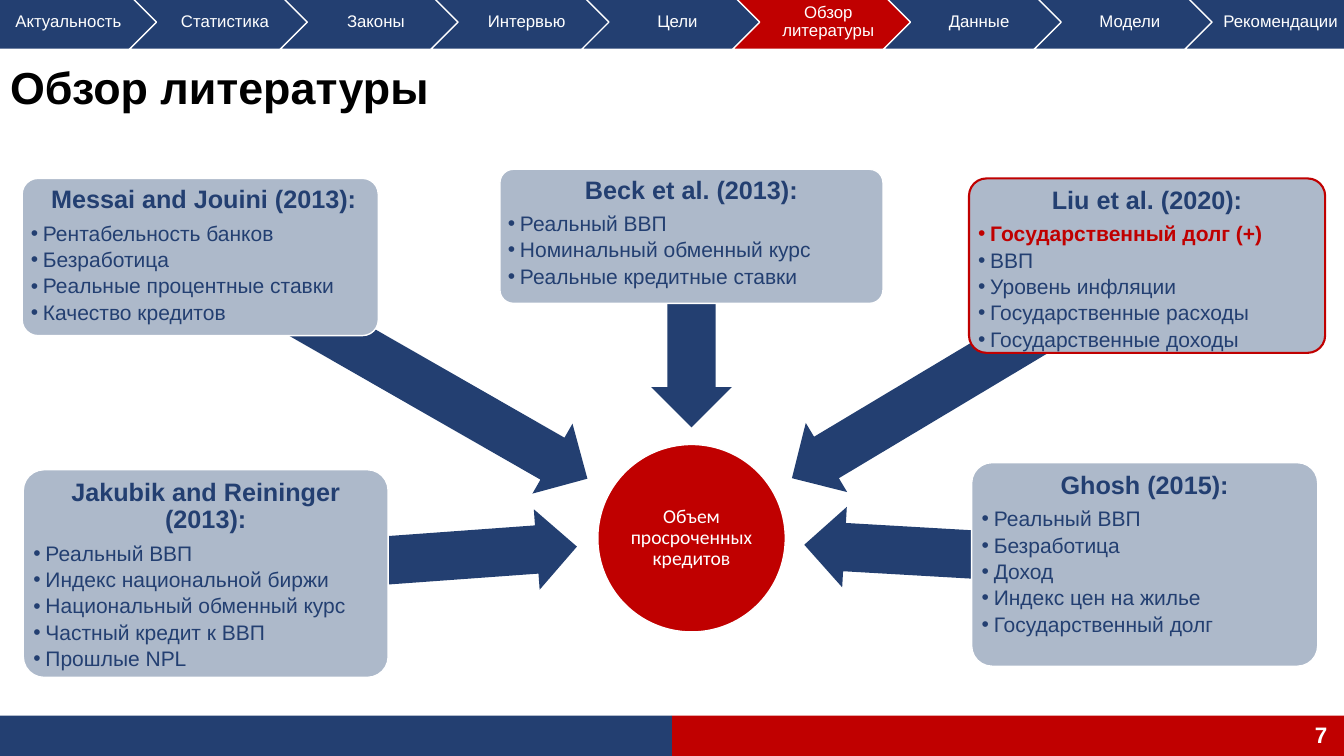
import math

import pptx
import pptx.dml.color
import pptx.enum.shapes
import pptx.enum.text
import pptx.oxml.ns
import pptx.util
from lxml import etree

SHAPE = pptx.enum.shapes.MSO_SHAPE
ALIGN = pptx.enum.text.PP_ALIGN
ANCHOR = pptx.enum.text.MSO_ANCHOR
WIDTH, HEIGHT = pptx.util.Inches(13.33), pptx.util.Inches(7.5)
NAVY, RED, GREY, WHITE, BLACK = "233F71", "C00000", "ADB9CA", "FFFFFF", "000000"

SECTIONS = ["Актуальность", "Статистика", "Законы", "Интервью", "Цели",
            "Обзор литературы", "Данные", "Модели", "Рекомендации"]
CURRENT = "Обзор литературы"

# Heading, box in percent of the slide, gap from arrow tip to hub centre in inches, factors
STUDIES = [
    (" Messai and Jouini (2013):", (1.65, 23.6, 26.5, 20.8), 1.19,
     ["Рентабельность банков", "Безработица", "Реальные процентные ставки",
      "Качество кредитов"]),
    ("Jakubik and Reininger (2013):", (1.73, 62.13, 27.15, 27.47), 1.14,
     ["Реальный ВВП", "Индекс национальной биржи", "Национальный обменный курс",
      "Частный кредит к ВВП", "Прошлые NPL"]),
    ("Beck et al. (2013):", (37.2, 22.4, 28.5, 17.73), 1.1,
     ["Реальный ВВП", "Номинальный обменный курс", "Реальные кредитные ставки"]),
    ("Liu et al. (2020):", (72.1, 23.6, 26.5, 23.07), 1.16,
     ["Государственный долг (+)", "ВВП", "Уровень инфляции",
      "Государственные расходы", "Государственные доходы"]),
    ("Ghosh (2015):", (72.3, 61.2, 25.75, 26.93), 1.12,
     ["Реальный ВВП", "Безработица", "Доход", "Индекс цен на жилье",
      "Государственный долг"]),
]
KEY_FACTOR = "Государственный долг (+)"
HUB = (44.48, 58.8, 13.95, 24.8)


def rgb(value):
    return pptx.dml.color.RGBColor.from_string(value)


def area(x, y, w, h):
    """Turn percentages of the slide into lengths."""
    return [int(v * side / 100) for v, side in
            zip((x, y, w, h), (WIDTH, HEIGHT, WIDTH, HEIGHT))]


def center(x, y, w, h):
    return x + w / 2, y + h / 2


def add_shape(slide, kind, box, fill, line=None, line_width=1, adjust=()):
    sp = slide.shapes.add_shape(kind, *box)
    sp.shadow.inherit = False
    sp.fill.solid()
    sp.fill.fore_color.rgb = rgb(fill)
    if line:
        sp.line.color.rgb = rgb(line)
        sp.line.width = pptx.util.Pt(line_width)
    else:
        sp.line.fill.background()
    for i, value in enumerate(adjust):
        sp.adjustments[i] = value
    return sp


def set_frame(tf, anchor=ANCHOR.MIDDLE, insets=(0.1, 0.05, 0.1, 0.05)):
    tf.word_wrap = True
    tf.vertical_anchor = anchor
    (tf.margin_left, tf.margin_top,
     tf.margin_right, tf.margin_bottom) = map(pptx.util.Inches, insets)


def add_bullet(p, size, font):
    """Hanging bullet in the size and font of its text."""
    p.level = 1
    pPr = p._p.get_or_add_pPr()
    indent = pptx.util.Inches(0.12)
    pPr.set("marL", str(indent))
    pPr.set("indent", str(-indent))
    etree.SubElement(pPr, pptx.oxml.ns.qn("a:buFont")).set("typeface", font)
    etree.SubElement(pPr, pptx.oxml.ns.qn("a:buChar")).set("char", "•")
    end = etree.SubElement(p._p, pptx.oxml.ns.qn("a:endParaRPr"))
    end.set("sz", str(size * 100))


def write(p, text, size, color=WHITE, bold=False, font="Arial",
          align=ALIGN.CENTER, after=0, bullet=False):
    p.alignment = align
    p.line_spacing = 0.9
    p.space_before = pptx.util.Pt(0)
    p.space_after = pptx.util.Pt(after)
    r = p.add_run()
    r.text = text
    r.font.name, r.font.size, r.font.bold = font, pptx.util.Pt(size), bold
    r.font.color.rgb = rgb(color)
    if bullet:
        add_bullet(p, size, font)


def add_footer(slide, x, y, w, h):
    half = w // 2
    add_shape(slide, SHAPE.RECTANGLE, (x + half, y, w - half, h), RED)
    add_shape(slide, SHAPE.RECTANGLE, (x, y, half, h), NAVY)
    number_width = int(w * 0.22)
    tf = slide.shapes.add_textbox(x + int(w * 0.995) - number_width, y,
                                  number_width, h).text_frame
    set_frame(tf)
    write(tf.paragraphs[0], "7", 16, bold=True, align=ALIGN.RIGHT)


def add_navigation(slide, x, y, w, h):
    """Chevrons that start and end slightly outside the slide."""
    step, width = w * 0.11, w * 0.1376
    for i, name in enumerate(SECTIONS):
        sp = add_shape(slide, SHAPE.CHEVRON if i else SHAPE.PENTAGON,
                       (int(x + i * step), y, int(width), h),
                       RED if name == CURRENT else NAVY, WHITE, adjust=[0.5])
        set_frame(sp.text_frame, insets=(0.05 if i else 0.07, 0.04, 0.02, 0.04))
        write(sp.text_frame.paragraphs[0], name, 12)


def add_title(slide, x, y, w, h):
    sp = slide.shapes.title
    sp.left, sp.top, sp.width, sp.height = x, y, w, h
    set_frame(sp.text_frame)
    write(sp.text_frame.paragraphs[0], CURRENT, 32, BLACK, True, align=ALIGN.LEFT)


def add_hub(slide, box):
    sp = add_shape(slide, SHAPE.OVAL, box, RED, WHITE)
    set_frame(sp.text_frame, insets=[0.01] * 4)
    write(sp.text_frame.paragraphs[0], "Объем просроченных кредитов", 14, font="Calibri")


def add_arrow(slide, start, target, gap):
    """Arrow from start towards target, stopping short of it by gap."""
    dx, dy = target[0] - start[0], target[1] - start[1]
    distance = math.hypot(dx, dy)
    length, thick = distance - gap, WIDTH * 0.06
    share = length / distance / 2
    mid_x, mid_y = start[0] + dx * share, start[1] + dy * share
    box = [int(v) for v in (mid_x - length / 2, mid_y - thick / 2, length, thick)]
    sp = add_shape(slide, SHAPE.LEFT_ARROW, box, NAVY, adjust=[0.6, 0.5])
    sp.rotation = (math.degrees(math.atan2(dy, dx)) + 180) % 360


def add_study(slide, box, heading, factors):
    key = KEY_FACTOR in factors
    sp = add_shape(slide, SHAPE.ROUNDED_RECTANGLE, box, GREY, RED if key else WHITE,
                   1.5 if key else 1, adjust=[0.1])
    tf = sp.text_frame
    set_frame(tf, ANCHOR.TOP, [0.04] * 4)
    write(tf.paragraphs[0], heading, 18, NAVY, True, after=6.3)
    for factor in factors:
        marked = factor == KEY_FACTOR
        write(tf.add_paragraph(), factor, 15, RED if marked else NAVY, marked,
              align=ALIGN.LEFT, after=2.6, bullet=True)


def add_review_slide(prs):
    slide = prs.slides.add_slide(prs.slide_layouts[5])
    add_footer(slide, *area(0, 94.67, 100, 5.33))
    # Studies pointing at the hub
    hub = area(*HUB)
    add_hub(slide, hub)
    for heading, share, gap, factors in STUDIES:
        box = area(*share)
        add_arrow(slide, center(*box), center(*hub), pptx.util.Inches(gap))
        add_study(slide, box, heading, factors)
    add_title(slide, *area(0, 7.07, 100, 9.6))
    add_navigation(slide, *area(-1.6, -0.67, 102, 7.2))


def main():
    prs = pptx.Presentation()
    prs.slide_width, prs.slide_height = WIDTH, HEIGHT
    add_review_slide(prs)
    prs.save("out.pptx")


if __name__ == "__main__":
    main()
